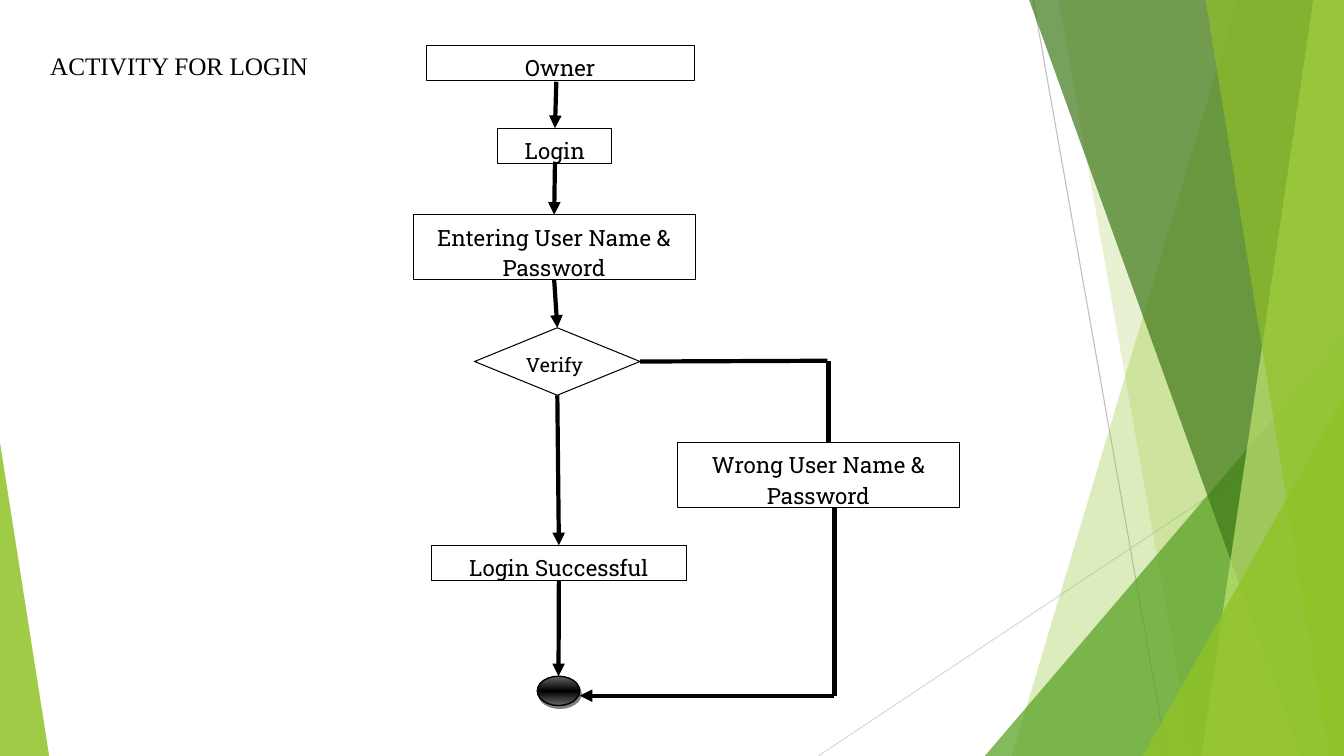
from lxml import etree
from pptx import Presentation, util as u
from pptx.dml.color import RGBColor
from pptx.enum import shapes, text
from pptx.oxml import parse_xml
from pptx.oxml.ns import nsdecls, qn

# Content: all lengths in cm
WIDTH, HEIGHT = 33.87, 19.05
KIND = shapes.MSO_SHAPE
SLAB = "Roboto Slab"
TITLE = ("ACTIVITY FOR LOGIN", (0.97, 1.14, 7.09, 1.02))

# Decoration in stacking order: thin lines, bands to the right edge, triangles
THIN_LINES = [((26.04, 0), (29.41, HEIGHT), "BFBFBF"),
              ((WIDTH, 10.24), (20.62, HEIGHT), "D9D9D9")]
DECOR = [  # band: left x at top and bottom; triangle: left, top, tip position
    ("band", (31.19, 25.5), "90C226", 30),
    ("band", (26.67, 30.05), "90C226", 20),
    ("triangle", (24.82, 8.46, 9.05, 1), "54A021", 72),
    ("band", (25.93, 32.79), "3F7819", 70),
    ("band", (33.1, 30.28), "C0E474", 70),
    ("band", (30.38, 33.48), "90C226", 65),
    ("triangle", (28.8, 9.98, 5.07, 1), "90C226", 80),
    ("triangle", (0, 11.15, 1.24, 0), "90C226", 85),
]

# Flow steps: key, wording, kind, place, size, alignment
CENTER, LEFT = text.PP_ALIGN.CENTER, text.PP_ALIGN.LEFT
STEPS = [
    ("owner", "Owner", KIND.RECTANGLE, (10.74, 1.14, 6.76, 0.89), 16, CENTER),
    ("login", "Login", KIND.RECTANGLE, (12.55, 3.23, 2.87, 0.89), 16, CENTER),
    ("enter", "Entering User Name & Password", KIND.RECTANGLE,
     (10.41, 5.41, 7.11, 1.63), 16, CENTER),
    ("verify", "Verify", KIND.FLOWCHART_DECISION,
     (11.96, 8.26, 4.17, 1.7), 14, LEFT),
    ("wrong", "Wrong User Name & Password", KIND.RECTANGLE,
     (17.07, 11.15, 7.11, 1.63), 16, CENTER),
    ("success", "Login Successful", KIND.RECTANGLE,
     (10.87, 13.74, 6.43, 0.89), 16, CENTER),
    ("end", "", KIND.OVAL, (13.54, 17.04, 1.07, 0.74), 16, CENTER),
]

# Flow lines: each end is a point or a (step, side) joint; last is arrowhead
TOP, BOTTOM, RIGHT = 0, 2, 3
FLOWS = [
    ((14.02, 2.06), ("login", TOP), True),
    (("verify", BOTTOM), ("success", TOP), True),
    (("enter", BOTTOM), ("verify", TOP), True),
    (("login", BOTTOM), ("enter", TOP), True),
    (("success", BOTTOM), ("end", TOP), True),
    ((21.03, 17.53), (14.61, 17.53), True),
    ((21.03, 17.53), (21.03, 12.78), False),
    ((20.88, 11.15), (20.88, 9.09), False),
    ((20.85, 9.09), ("verify", RIGHT), False),
]


def color(code):
    return RGBColor.from_string(code)


def lengths(values):
    return [u.Cm(value) for value in values]


def assign(target, values):
    for name, value in values.items():
        setattr(target, name, value)


def paint(shape, code, opacity=None, line_width=None):
    shape.shadow.inherit = False
    shape.fill.solid()
    shape.fill.fore_color.rgb = color(code)
    if opacity is not None:
        tint = shape.fill._xPr.find(".//" + qn("a:srgbClr"))
        etree.SubElement(tint, qn("a:alpha")).set("val", str(opacity * 1000))
    if line_width:
        shape.line.color.rgb = color("000000")
        shape.line.width = u.Pt(line_width)
    else:
        shape.line.fill.background()


def write(box, wording, frame_format, para_format, font_format):
    assign(box.text_frame, frame_format)
    para = box.text_frame.paragraphs[0]
    assign(para, para_format)
    span = para.add_run()
    span.text = wording
    assign(span.font, font_format)
    span.font.color.rgb = color("000000")


def draw_line(page, start, end, code, width, arrow=False):
    line = page.shapes.add_connector(
        shapes.MSO_CONNECTOR.STRAIGHT, *lengths(start + end))
    line.line.color.rgb = color(code)
    line.line.width = u.Pt(width)
    if arrow:
        etree.SubElement(line.line._get_or_add_ln(), qn("a:tailEnd")).set("type", "triangle")
    etree.SubElement(line._element.spPr, qn("a:effectLst"))
    return line


def draw_decor(page):
    for start, end, code in THIN_LINES:
        draw_line(page, start, end, code, 0.75)
    for kind, place, code, opacity in DECOR:
        if kind == "band":
            top_x, bottom_x = place
            corners = [(top_x, -0.02), (WIDTH, -0.02), (WIDTH, HEIGHT), (bottom_x, HEIGHT)]
            points = [lengths(corner) for corner in corners]
            builder = page.shapes.build_freeform(*points[0])
            builder.add_line_segments(points[1:], close=True)
            shape = builder.convert_to_shape()
        else:
            left, top, width, tip = place
            shape = page.shapes.add_shape(
                KIND.ISOSCELES_TRIANGLE, *lengths((left, top, width, HEIGHT - top)))
            shape.adjustments[0] = tip
        paint(shape, code, opacity)


def draw_steps(page):
    boxes = {}
    for key, wording, kind, place, size, align in STEPS:
        box = boxes[key] = page.shapes.add_shape(kind, *lengths(place))
        paint(box, "FFFFFF", line_width=0.75 if wording else 1)
        if wording:
            write(box, wording,
                  {"word_wrap": True, "vertical_anchor": text.MSO_ANCHOR.TOP},
                  {"alignment": align, "line_spacing": 1.15, "space_after": u.Pt(10)},
                  {"name": SLAB, "size": u.Pt(size)})
    return boxes


def shade_end(dot):
    # Three-stop gradient and hard shadow
    stops = "".join(
        f'<a:gs pos="{place * 1000}"><a:srgbClr val="{code}"/></a:gs>'
        for place, code in [(0, "666666"), (50, "000000"), (100, "666666")])
    gradient = parse_xml(
        f'<a:gradFill {nsdecls("a")} rotWithShape="1"><a:gsLst>{stops}</a:gsLst>'
        '<a:lin ang="5400000" scaled="1"/></a:gradFill>')
    shadow = parse_xml(
        f'<a:effectLst {nsdecls("a")}><a:outerShdw dist="{u.Pt(2.2)}" dir="{63 * 60000}" '
        'algn="ctr" rotWithShape="0"><a:srgbClr val="7F7F7F"/></a:outerShdw></a:effectLst>')
    props = dot._element.spPr
    for tag, part in [("a:solidFill", gradient), ("a:effectLst", shadow)]:
        props.replace(props.find(qn(tag)), part)


def draw_flows(page, boxes):
    for start, end, arrow in FLOWS:
        points = [(0, 0) if joint[0] in boxes else joint for joint in (start, end)]
        line = draw_line(page, *points, "000000", 3, arrow)
        for joint, connect in [(start, line.begin_connect), (end, line.end_connect)]:
            if joint[0] in boxes:
                connect(boxes[joint[0]], joint[1])


def main():
    deck = Presentation()
    assign(deck, {"slide_width": u.Cm(WIDTH), "slide_height": u.Cm(HEIGHT)})
    page = deck.slides.add_slide(deck.slide_layouts[6])
    draw_decor(page)
    boxes = draw_steps(page)
    shade_end(boxes["end"])
    draw_flows(page, boxes)

    # Title
    wording, place = TITLE
    write(page.shapes.add_textbox(*lengths(place)), wording,
          {"word_wrap": False, "vertical_anchor": text.MSO_ANCHOR.MIDDLE,
           "auto_size": text.MSO_AUTO_SIZE.SHAPE_TO_FIT_TEXT},
          {"alignment": CENTER},
          {"name": "Times New Roman", "size": u.Pt(18)})
    deck.save("out.pptx")


if __name__ == "__main__":
    main()
